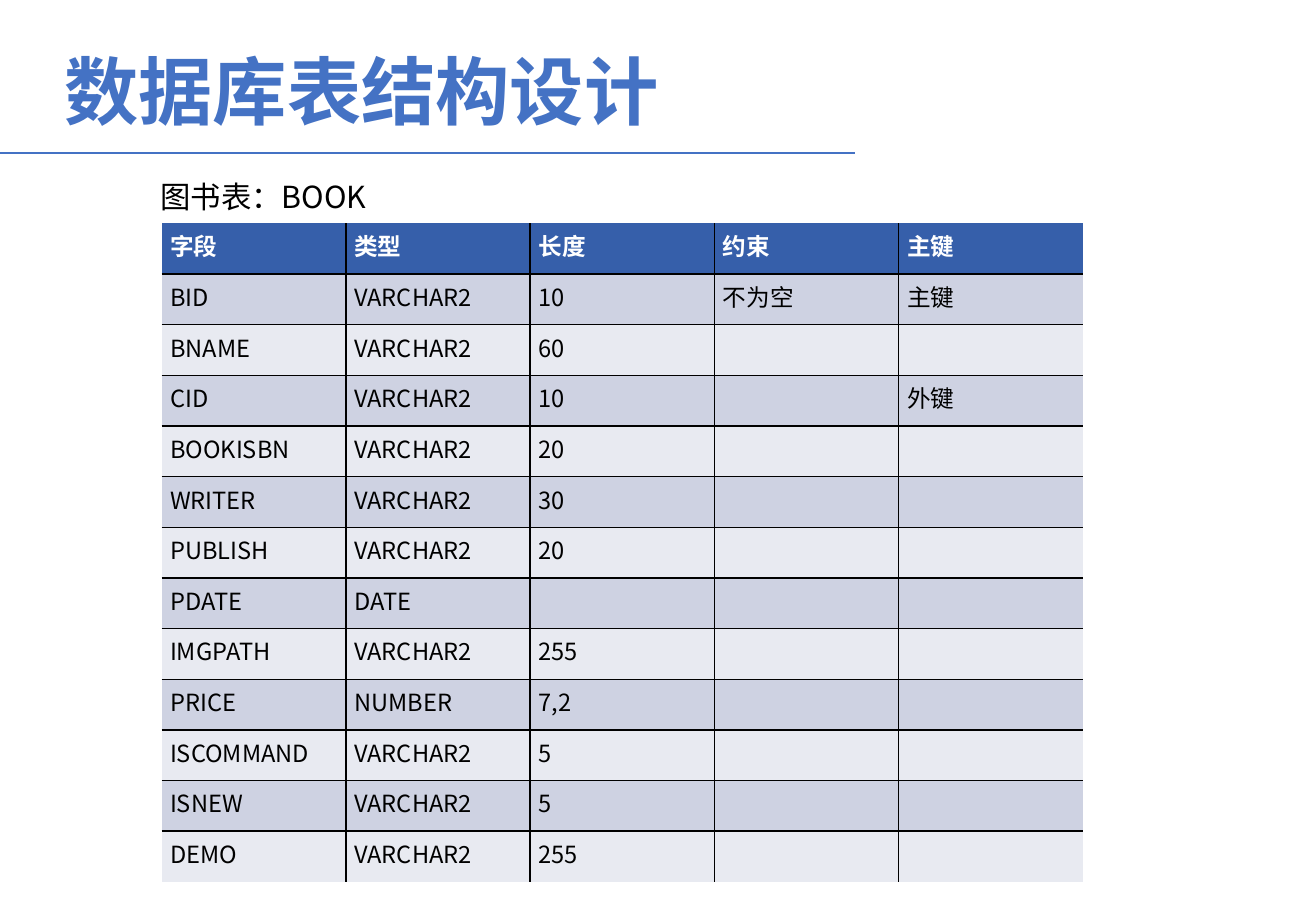
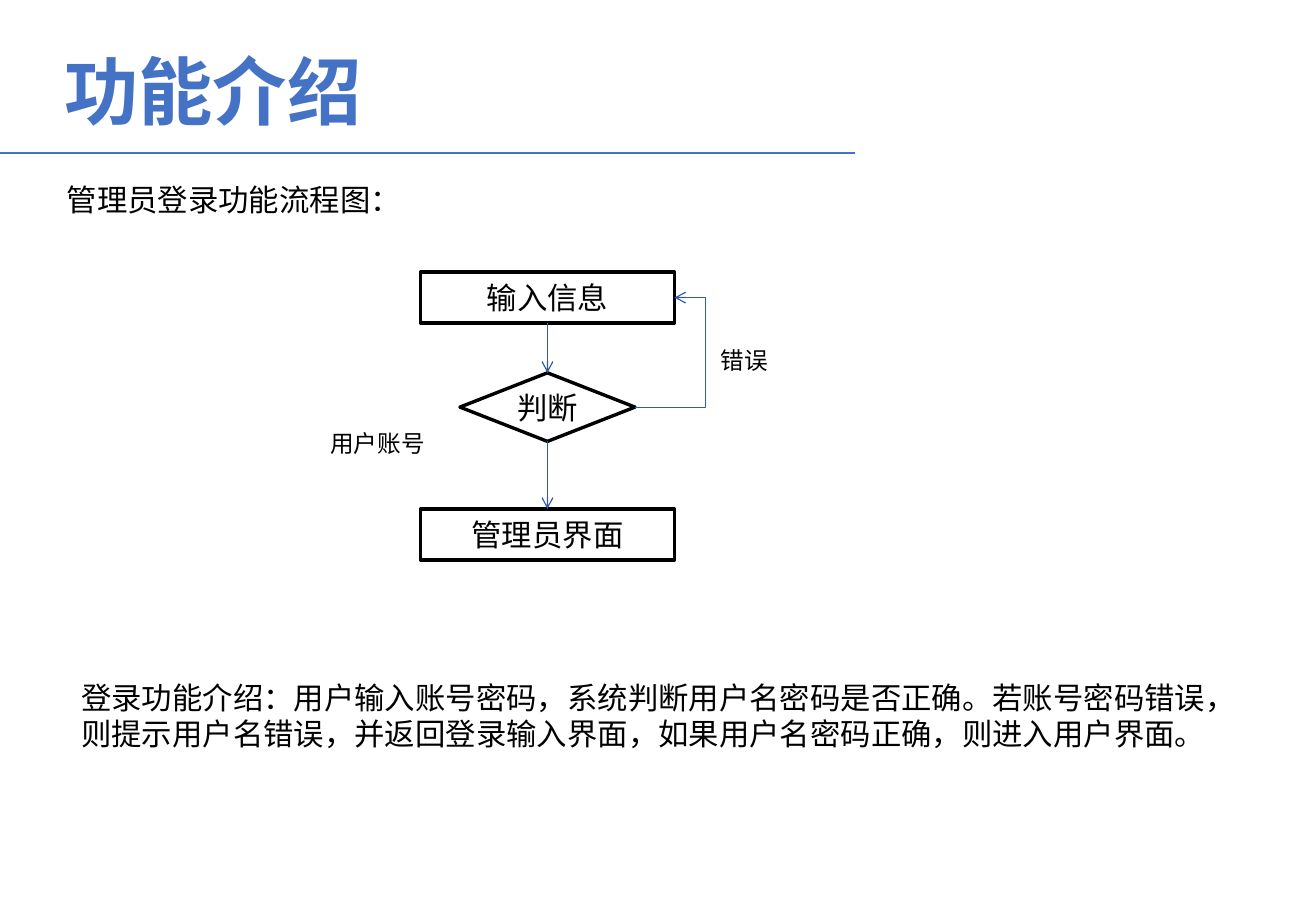
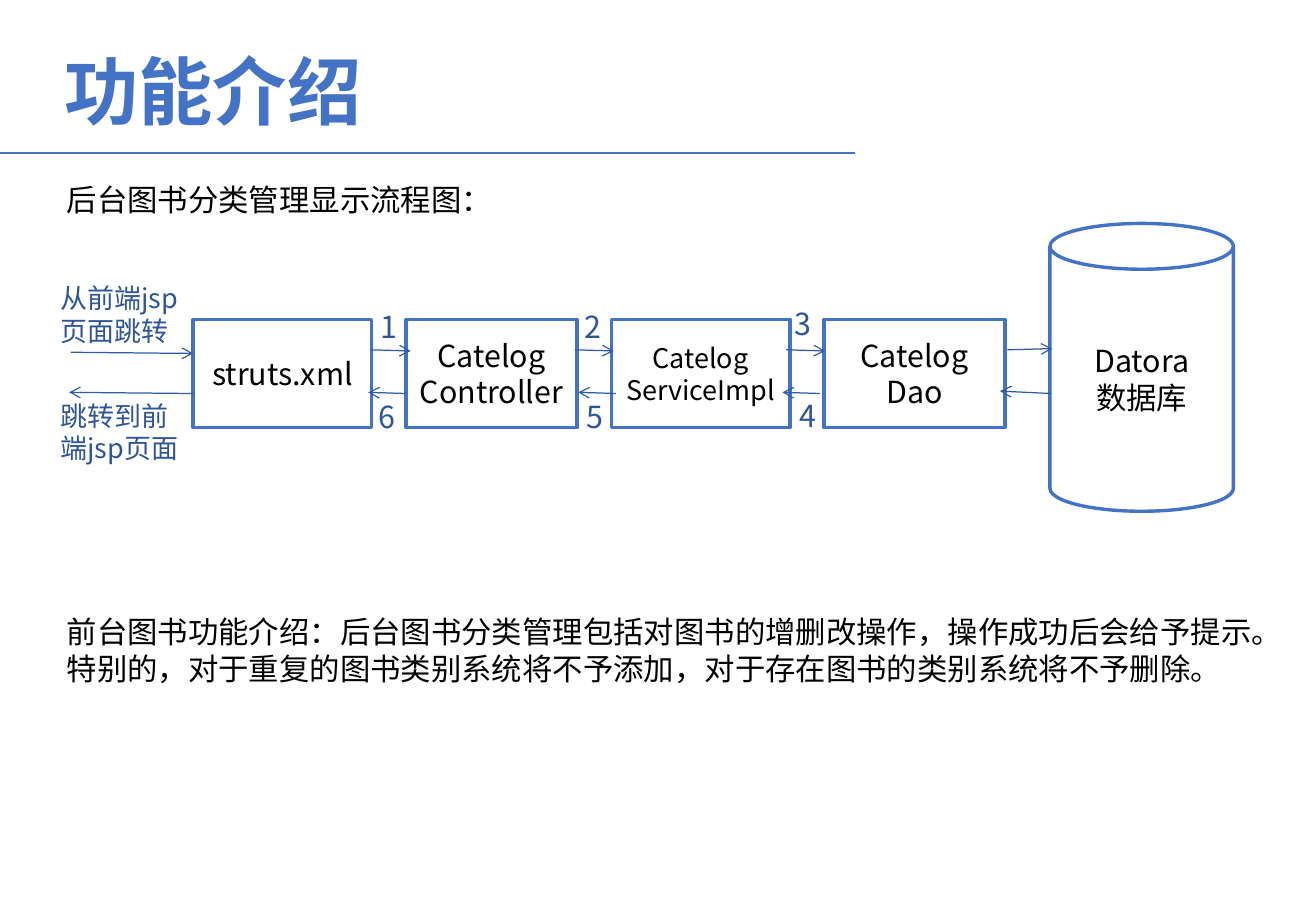
from dataclasses import dataclass

from lxml import etree
from pptx import Presentation
from pptx import util as u
from pptx.dml.color import RGBColor
from pptx.enum import shapes, text
from pptx.oxml.ns import qn

FONT = "Noto Sans CJK SC"
COLORS = {
    "accent": "4472C4",
    "arrow": "325CA9",
    "label": "2F5597",
    "header": "365FAA",
    "band_dark": "CED2E2",
    "band_light": "E8EAF1",
    "black": "000000",
    "white": "FFFFFF",
}
SLIDE_WIDTH = u.Inches(10.83)
SLIDE_HEIGHT = u.Inches(7.5)
RECT = shapes.MSO_SHAPE.RECTANGLE
CAPTION_HEIGHT = 5.33
NOTE_HEIGHT = 9.47


# Lengths are percentages of the slide's width and height
def across(share: float) -> int:
    return round(SLIDE_WIDTH * share / 100)


def down(share: float) -> int:
    return round(SLIDE_HEIGHT * share / 100)


@dataclass(frozen=True)
class Area:
    left: float
    top: float
    width: float
    height: float

    def emu(self) -> tuple[int, int, int, int]:
        return across(self.left), down(self.top), across(self.width), down(self.height)


@dataclass(frozen=True)
class Label:
    words: str
    area: Area
    size: int = 18
    color: str = "black"
    wrap: bool = True


@dataclass(frozen=True)
class Node:
    words: str
    area: Area
    line: str
    kind: int = RECT
    size: int = 18


@dataclass(frozen=True)
class Arrow:
    x1: float
    y1: float
    x2: float
    y2: float


# Shared helpers
def rgb(name: str) -> RGBColor:
    return RGBColor.from_string(COLORS[name])


def write(frame, words: str, size: int, color: str, bold: bool = False, align=None) -> None:
    frame.text = words
    for para in frame.paragraphs:
        para.alignment = align
        font = para.font
        font.name, font.size, font.bold = FONT, u.Pt(size), bold
        font.color.rgb = rgb(color)
        latin = para._p.pPr.find(qn("a:defRPr")).find(qn("a:latin"))
        east_asian = etree.Element(qn("a:ea"), typeface=FONT)
        latin.addnext(east_asian)


def draw_label(page, label: Label) -> None:
    box = page.shapes.add_textbox(*label.area.emu())
    box.text_frame.word_wrap = label.wrap
    write(box.text_frame, label.words, label.size, label.color)


def draw_node(page, node: Node):
    shape = page.shapes.add_shape(node.kind, *node.area.emu())
    shape.shadow.inherit = False
    shape.fill.solid()
    shape.fill.fore_color.rgb = rgb("white")
    shape.line.color.rgb = rgb(node.line)
    shape.line.width = u.Pt(2)
    frame = shape.text_frame
    frame.vertical_anchor = text.MSO_ANCHOR.MIDDLE
    write(frame, node.words, node.size, "black", align=text.PP_ALIGN.CENTER)
    return shape


def draw_line(page, ends: Arrow, color: str = "arrow", weight: float = 0.75,
              head: bool = True, kind=shapes.MSO_CONNECTOR.STRAIGHT):
    line = page.shapes.add_connector(
        kind, across(ends.x1), down(ends.y1), across(ends.x2), down(ends.y2))
    line.line.color.rgb = rgb(color)
    line.line.width = u.Pt(weight)
    properties = line.element.spPr
    if head:
        etree.SubElement(properties.find(qn("a:ln")), qn("a:tailEnd"), type="arrow")
    etree.SubElement(properties, qn("a:effectLst"))
    return line


def join(page, start, start_side: int, end, end_side: int,
         kind=shapes.MSO_CONNECTOR.STRAIGHT):
    line = draw_line(page, Arrow(0, 0, 0, 0), kind=kind)
    line.begin_connect(start, start_side)
    line.end_connect(end, end_side)
    return line


def prepare_layout(deck):
    layout = deck.slide_layouts.get_by_name("Title Only")
    title = layout.placeholders[0]
    title.left, title.top, title.width, title.height = Area(3.97, 4.27, 80.33, 9.47).emu()
    return layout


def add_page(deck, layout, heading: str, caption: Label):
    page = deck.slides.add_slide(layout)
    frame = page.shapes.title.text_frame
    frame.auto_size = text.MSO_AUTO_SIZE.NONE
    frame.vertical_anchor = text.MSO_ANCHOR.TOP
    write(frame, heading, 44, "accent", bold=True, align=text.PP_ALIGN.LEFT)
    draw_line(page, Arrow(0, 16.8, 65, 16.8), "accent", 1.25, head=False)
    draw_label(page, caption)
    return page


# Table of fields
FIELDS = [
    ("字段", "类型", "长度", "约束", "主键"),
    ("BID", "VARCHAR2", "10", "不为空", "主键"),
    ("BNAME", "VARCHAR2", "60", "", ""),
    ("CID", "VARCHAR2", "10", "", "外键"),
    ("BOOKISBN", "VARCHAR2", "20", "", ""),
    ("WRITER", "VARCHAR2", "30", "", ""),
    ("PUBLISH", "VARCHAR2", "20", "", ""),
    ("PDATE", "DATE", "", "", ""),
    ("IMGPATH", "VARCHAR2", "255", "", ""),
    ("PRICE", "NUMBER", "7,2", "", ""),
    ("ISCOMMAND", "VARCHAR2", "5", "", ""),
    ("ISNEW", "VARCHAR2", "5", "", ""),
    ("DEMO", "VARCHAR2", "255", "", ""),
]


def set_borders(cell, inner: dict[str, bool]) -> None:
    properties = cell._tc.get_or_add_tcPr()
    for side, visible in inner.items():
        line = etree.SubElement(properties, qn(f"a:ln{side}"), w=str(u.Pt(1)))
        if visible:
            fill = etree.SubElement(line, qn("a:solidFill"))
            etree.SubElement(fill, qn("a:srgbClr"), val=COLORS["black"])
        else:
            etree.SubElement(line, qn("a:noFill"))


def draw_table(page, rows: list[tuple[str, ...]], area: Area) -> None:
    last_row, last_column = len(rows) - 1, len(rows[0]) - 1
    table = page.shapes.add_table(len(rows), len(rows[0]), *area.emu()).table
    for r, row in enumerate(rows):
        for c, words in enumerate(row):
            cell = table.cell(r, c)
            set_borders(cell, {"L": c > 0, "R": c < last_column,
                               "T": r > 0, "B": r < last_row})
            cell.margin_left = cell.margin_right = u.Inches(0.07)
            cell.margin_top = cell.margin_bottom = u.Inches(0.04)
            cell.fill.solid()
            band = "header" if r == 0 else "band_dark" if r % 2 else "band_light"
            cell.fill.fore_color.rgb = rgb(band)
            write(cell.text_frame, words, 14, "black" if r else "white", bold=r == 0)


def build_table_page(deck, layout) -> None:
    page = add_page(deck, layout, "数据库表结构设计",
                    Label("图书表：BOOK", Area(11.27, 18.93, 24.65, CAPTION_HEIGHT)))
    draw_table(page, FIELDS, Area(12.28, 24.53, 70, 72.27))


# Login flow chart
def build_login_page(deck, layout) -> None:
    page = add_page(deck, layout, "功能介绍",
                    Label("管理员登录功能流程图：", Area(4.16, 19.2, 30, CAPTION_HEIGHT)))
    middle, width, height, diamond_width = 41.6, 19.3, 5.6, 13.3
    left = middle - width / 2
    enter = draw_node(page, Node("输入信息", Area(left, 29.87, width, height), "black"))
    check = draw_node(page, Node(
        "判断", Area(middle - diamond_width / 2, 40.93, diamond_width, 7.53),
        "black", shapes.MSO_SHAPE.DIAMOND))
    admin = draw_node(page, Node("管理员界面", Area(left, 55.87, width, height), "black"))
    join(page, enter, 2, check, 0)
    join(page, check, 2, admin, 0)
    retry = join(page, check, 3, enter, 3, shapes.MSO_CONNECTOR.ELBOW)
    bends = retry.element.spPr.find(qn("a:prstGeom")).get_or_add_avLst()
    etree.SubElement(bends, qn("a:gd"), name="adj1", fmla="val 179400")
    for label in (
        Label("错误", Area(53.83, 37.33, 11.82, 4.53), 14),
        Label("用户账号", Area(24.19, 46.4, 9.7, 4.53), 14),
        Label("登录功能介绍：用户输入账号密码，系统判断用户名密码是否正确。若账号密码错误，\n"
              "则提示用户名错误，并返回登录输入界面，如果用户名密码正确，则进入用户界面。",
              Area(5.26, 73.87, 89.57, NOTE_HEIGHT), wrap=False),
    ):
        draw_label(page, label)


# Catalogue request flow
ROW_TOP, ROW_HEIGHT = 35.07, 11.87
LAYERS = [
    Node("struts.xml", Area(14.68, ROW_TOP, 13.57, ROW_HEIGHT), "accent"),
    Node("Catelog\nController", Area(30.84, ROW_TOP, 13.02, ROW_HEIGHT), "accent"),
    Node("Catelog\nServiceImpl", Area(46.45, ROW_TOP, 13.57, ROW_HEIGHT), "accent", size=16),
    Node("Catelog\nDao", Area(62.6, ROW_TOP, 13.76, ROW_HEIGHT), "accent"),
    Node("Datora\n数据库", Area(79.78, 24.53, 13.94, 31.6), "accent", shapes.MSO_SHAPE.CAN),
]
CALLS = [
    Arrow(5.36, 38.67, 14.68, 38.8),
    *(Arrow(x1, 38.4, x2, 38.53)
      for x1, x2 in ((28.16, 31.21), (43.67, 46.63), (59.74, 62.7))),
    Arrow(76.55, 38.4, 79.96, 38.27),
]
RETURNS = [
    Arrow(79.87, 43.2, 75.99, 42.93),
    *(Arrow(x1, 43.2, x2, 43.07)
      for x1, x2 in ((62.33, 59.46), (46.81, 43.95), (30.84, 27.98), (14.68, 5.26))),
]
STEPS = [("1", 27.98, 33.2), ("2", 43.49, 33.2), ("3", 59.46, 32.8),
         ("4", 59.83, 42.93), ("5", 43.67, 43.07), ("6", 27.89, 43.07)]


def build_catalogue_page(deck, layout) -> None:
    page = add_page(deck, layout, "功能介绍",
                    Label("后台图书分类管理显示流程图：", Area(4.16, 19.2, 35.1, CAPTION_HEIGHT)))
    for layer in LAYERS:
        draw_node(page, layer)
    for arrow in CALLS + RETURNS:
        draw_line(page, arrow)
    for number, left, top in STEPS:
        draw_label(page, Label(number, Area(left, top, 3.32, CAPTION_HEIGHT), color="label"))
    for label in (
        Label("从前端jsp页面跳转", Area(3.69, 30.27, 12.65, 8.53), 16, "label"),
        Label("跳转到前端jsp页面", Area(3.69, 43.2, 12, 8.53), 16, "label"),
        Label("前台图书功能介绍：后台图书分类管理包括对图书的增删改操作，操作成功后会给予提示。\n"
              "特别的，对于重复的图书类别系统将不予添加，对于存在图书的类别系统将不予删除。",
              Area(4.16, 66.67, 94.18, NOTE_HEIGHT), wrap=False),
    ):
        draw_label(page, label)


def main() -> None:
    deck = Presentation()
    deck.slide_width, deck.slide_height = SLIDE_WIDTH, SLIDE_HEIGHT
    layout = prepare_layout(deck)
    build_table_page(deck, layout)
    build_login_page(deck, layout)
    build_catalogue_page(deck, layout)
    deck.save("out.pptx")


if __name__ == "__main__":
    main()
